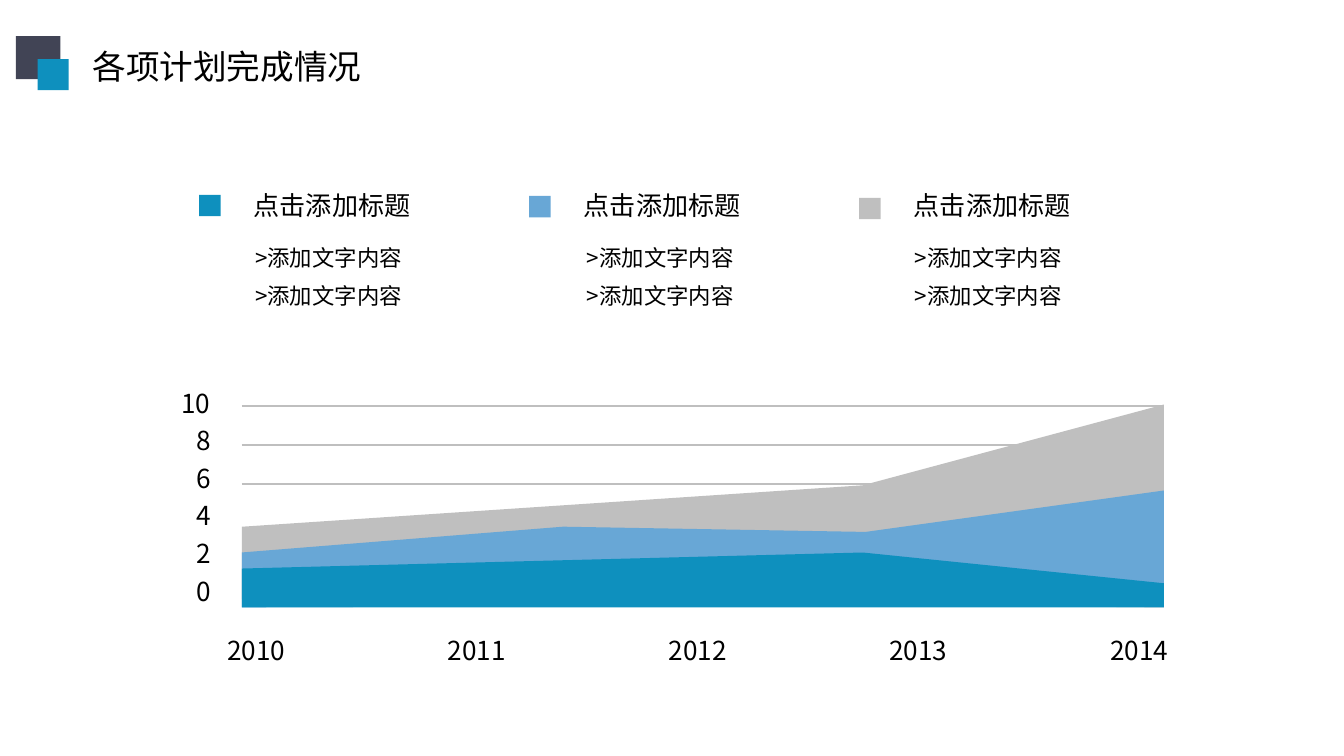
from lxml.etree import SubElement
from pptx import Presentation
from pptx.dml.color import RGBColor
from pptx.enum.shapes import MSO_CONNECTOR, MSO_SHAPE
from pptx.enum.text import MSO_AUTO_SIZE
from pptx.oxml.ns import qn
from pptx.util import Pt

COLORS = {
    "teal": "0E90BE",
    "blue": "68A7D6",
    "gray": "BFBFBF",
    "navy": "414455",
    "black": "000000",
}


def write(frame, text, size=14, color="black", font="Noto Sans CJK SC"):
    frame.word_wrap = False
    frame.auto_size = MSO_AUTO_SIZE.SHAPE_TO_FIT_TEXT
    run = frame.paragraphs[0].add_run()
    run.text = text
    run.font.size = Pt(size)
    run.font.color.rgb = RGBColor.from_string(COLORS[color])
    run.font.name = font
    SubElement(run.font._element, qn("a:ea")).set("typeface", font)


class Painter:
    def __init__(self, slide):
        self.shapes = slide.shapes

    def paint(self, shape, color):
        shape.shadow.inherit = False
        shape.fill.solid()
        shape.fill.fore_color.rgb = RGBColor.from_string(COLORS[color])
        shape.line.fill.background()

    def rect(self, x, y, w, h, color):
        shape = self.shapes.add_shape(MSO_SHAPE.RECTANGLE, Pt(x), Pt(y), Pt(w), Pt(h))
        self.paint(shape, color)

    def area(self, points, color):
        start, *rest = [(Pt(x), Pt(y)) for x, y in points]
        path = self.shapes.build_freeform(*start)
        path.add_line_segments(rest, close=True)
        self.paint(path.convert_to_shape(), color)

    def rule(self, x1, x2, y, color):
        line = self.shapes.add_connector(MSO_CONNECTOR.STRAIGHT, Pt(x1), Pt(y), Pt(x2), Pt(y))
        line.line.color.rgb = RGBColor.from_string(COLORS[color])
        line.line.width = Pt(1)
        SubElement(line._element.spPr, qn("a:effectLst"))

    def text(self, x, y, w, h, text, **style):
        box = self.shapes.add_textbox(Pt(x), Pt(y), Pt(w), Pt(h))
        write(box.text_frame, text, **style)


def graph(pen):
    left, right, base = 129.6, 623.5, 325.4
    for row in range(3):
        pen.rule(left, 622, 259.2 - 20.9 * row, "gray")

    layers = [
        ("gray", [(left, 321), (left, 282.2), (462.2, 260), (right, 216.7), (right, base)]),
        ("blue", [(left, base), (left, 296), (301.7, 282.2), (463.7, 285),
                  (right, 262.8), (right, 324)]),
        ("teal", [(left, base), (left, 304.6), (462.2, 296), (right, 312.5), (right, base)]),
    ]
    for color, points in layers:
        pen.area(points, color)

    for step in range(6):
        label = str(2 * step)
        width = 15 + 8 * len(label)
        pen.text(121 - width, 304.6 - 20.16 * step, width, 24.5, label)
    for step in range(5):
        pen.text(114.6 + 118.25 * step, 336.2, 47.5, 24.5, str(2010 + step))


def legend(pen):
    items = [("teal", 104.4, 129.6), ("blue", 105, 307.4), ("gray", 106, 483.1)]
    for col, (color, top, note) in enumerate(items):
        x = 106.7 + 176.8 * col
        pen.rect(x, top, 11.5, 11.5, color)
        pen.text(x + 22.1, 97.9, 99.4, 24.5, "点击添加标题")
        for row in range(2):
            pen.text(note, 127.4 + 20.2 * row, 96.5, 21.6, ">添加文字内容", size=12)


def main():
    deck = Presentation()
    deck.slide_width, deck.slide_height = Pt(720), Pt(405)
    pen = Painter(deck.slides.add_slide(deck.slide_layouts[6]))
    graph(pen)
    legend(pen)
    pen.text(42.5, 20.9, 159.8, 28.8, "各项计划完成情况", size=18)
    pen.rect(8.6, 19.4, 23.8, 23, "navy")
    pen.rect(20.2, 31.7, 16.6, 16.6, "teal")
    deck.save("out.pptx")


if __name__ == "__main__":
    main()
